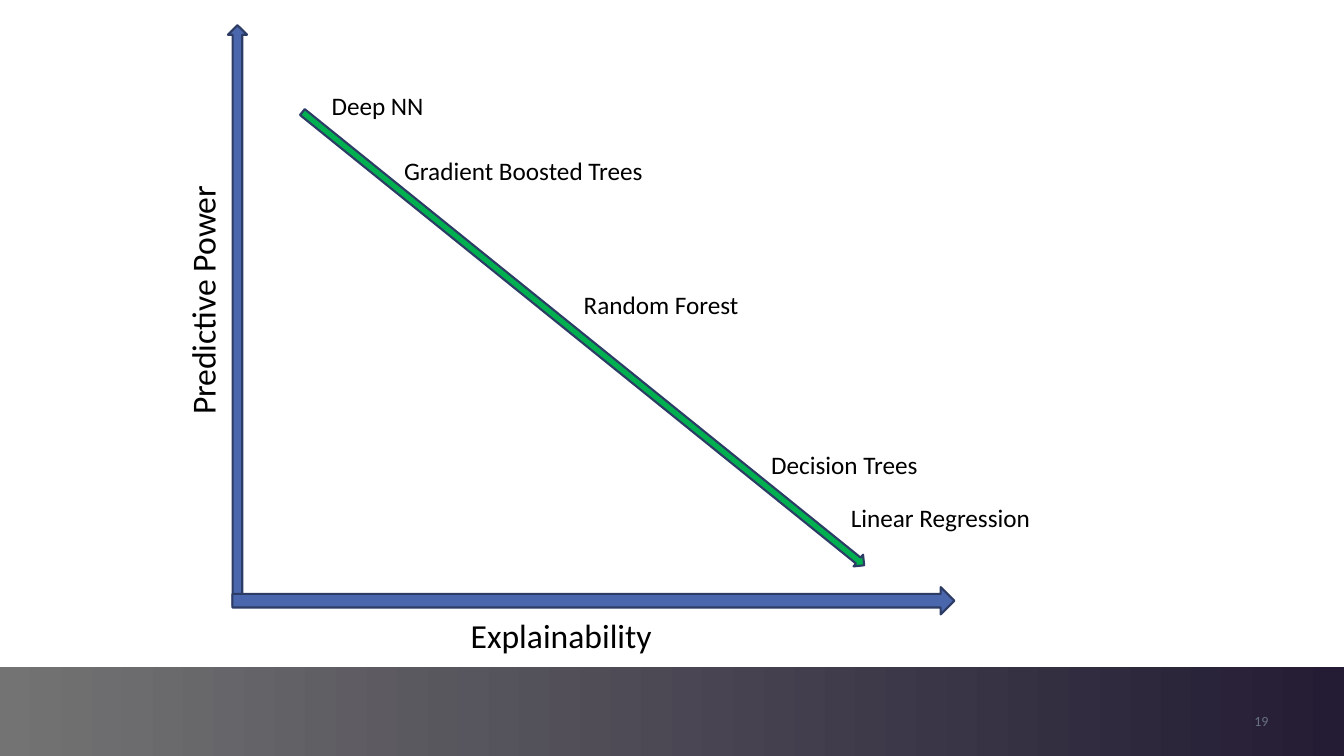
from pptx import Presentation
from pptx.dml.color import RGBColor
from pptx.enum.shapes import MSO_SHAPE
from pptx.enum.text import MSO_ANCHOR, MSO_AUTO_SIZE, PP_ALIGN
from pptx.util import Inches, Pt

COLORS = {
    "axis": "4A66AC",
    "outline": "2C3C65",
    "trend": "00B050",
    "text": "000000",
    "number": "677181",
    "band_dark": "231C34",
    "band_light": "737373",
}
FONT = "Calibri"
MODELS = [
    ("Deep NN", 0.93, 0.6),
    ("Gradient Boosted Trees", 1.65, 1.24),
    ("Random Forest", 3.43, 2.57),
    ("Decision Trees", 5.29, 4.16),
    ("Linear Regression", 6.08, 4.68),
]


def rgb(name):
    return RGBColor.from_string(COLORS[name])


def add_text(s, text, left, top, width, height, size=18, color="text",
             align=PP_ALIGN.LEFT, anchor=MSO_ANCHOR.TOP, rotation=0, grow=True):
    sp = s.shapes.add_textbox(Inches(left), Inches(top), Inches(width), Inches(height))
    sp.rotation = rotation
    tf = sp.text_frame
    tf.word_wrap = True
    tf.auto_size = MSO_AUTO_SIZE.SHAPE_TO_FIT_TEXT if grow else MSO_AUTO_SIZE.NONE
    tf.vertical_anchor = anchor
    p = tf.paragraphs[0]
    p.alignment = align
    r = p.add_run()
    r.text = text
    r.font.name = FONT
    r.font.size = Pt(size)
    r.font.color.rgb = rgb(color)


def add_arrow(s, left, top, width, height, color, rotation=0):
    sp = s.shapes.add_shape(MSO_SHAPE.UP_ARROW, Inches(left), Inches(top),
                            Inches(width), Inches(height))
    sp.rotation = rotation
    sp.shadow.inherit = False
    sp.fill.solid()
    sp.fill.fore_color.rgb = rgb(color)
    sp.line.color.rgb = rgb("outline")
    sp.line.width = Pt(1.5)


def add_footer(s, left, top, width, height):
    sp = s.shapes.add_shape(MSO_SHAPE.RECTANGLE, Inches(left), Inches(top),
                            Inches(width), Inches(height))
    sp.shadow.inherit = False
    sp.line.fill.background()
    sp.fill.gradient()
    sp.fill.gradient_angle = 180
    for stop, color, position in zip(sp.fill.gradient_stops,
                                     ("band_dark", "band_light"), (0, 1)):
        stop.color.rgb = rgb(color)
        stop.position = position
    add_text(s, "19", left + width - 1.07, top + 0.38, 0.42, 0.31, size=10,
             color="number", align=PP_ALIGN.RIGHT, anchor=MSO_ANCHOR.MIDDLE, grow=False)


def add_tradeoff_chart(s, left, top):
    add_arrow(s, left, top, 0.19, 5.76, "axis")
    add_arrow(s, left + 3.49, top + 2.13, 0.27, 7.16, "axis", rotation=90)
    add_text(s, "Predictive Power", left - 1.66, top + 2.25, 2.87, 0.56,
             size=24, rotation=270)
    add_arrow(s, left + 3.45, top - 0.47, 0.15, 7.16, "trend", rotation=128.9)
    for name, dx, dy in MODELS:
        add_text(s, name, left + dx, top + dy, 3.16, 0.44)
    add_text(s, "Explainability", left + 2.31, top + 5.8, 2.87, 0.5, size=24)


def main():
    prs = Presentation()
    prs.slide_width = Inches(13.33)
    prs.slide_height = Inches(7.5)
    s = prs.slides.add_slide(prs.slide_layouts[6])
    add_footer(s, 0, 6.62, 13.33, 0.9)
    add_tradeoff_chart(s, 2.26, 0.25)
    prs.save("out.pptx")


if __name__ == "__main__":
    main()
